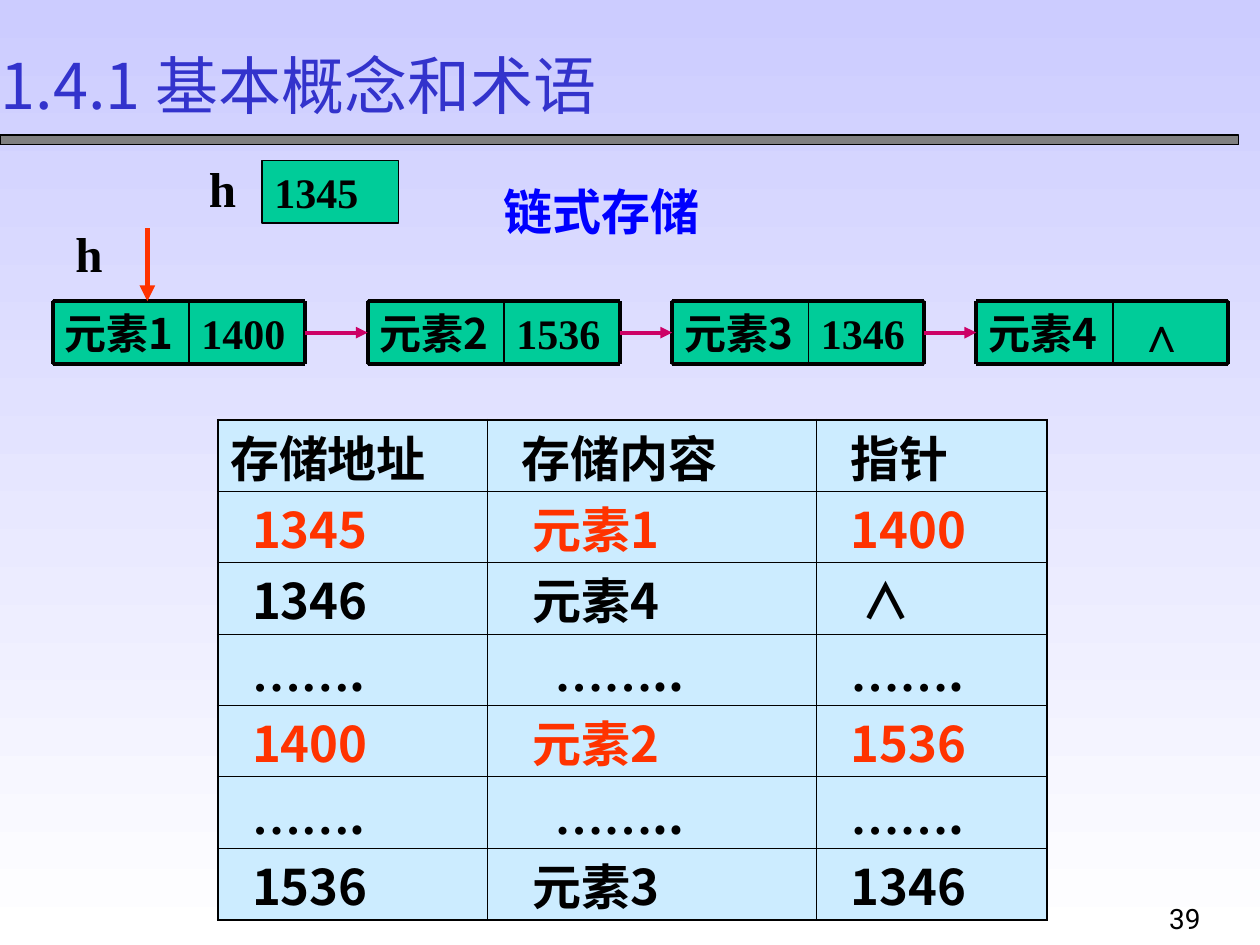
from lxml.etree import SubElement
from pptx import Presentation
from pptx.dml.color import RGBColor
from pptx.enum.shapes import MSO_CONNECTOR, MSO_SHAPE
from pptx.enum.text import MSO_ANCHOR, PP_ALIGN
from pptx.oxml.ns import qn
from pptx.util import Cm, Pt

THEME = {
    "sans": "Noto Sans CJK SC", "serif": "Times New Roman", "number": "Roboto",
    "black": "000000", "title": "3333CC", "heading": "0000FF", "hot": "FF3300",
    "link": "CC0066", "node": "00CC99", "cell": "CCECFF", "bar": "808080",
    "bg": ("CCCCFF", "FFFFFF"),
    "title_size": 36, "large": 28, "medium": 24, "small": 16,
}
TITLE = "1.4.1 基本概念和术语"

# Linked list: left edge, element, pointer
NODES = [(1.06, "元素1", "1400"), (7.41, "元素2", "1536"),
         (13.55, "元素3", "1346"), (19.68, "元素4", "∧")]
NODE_TOP, NODE_H, DATA_W, POINTER_W = 6.07, 1.27, 2.75, 2.33

# Labels: text, left, top, width, height, font, size, colour
LABELS = [
    ("h", 1.27, 4.37, 1.04, 1.45, "serif", "large", "black"),
    ("链式存储", 9.9, 3.53, 4.6, 1.45, "sans", "large", "heading"),
    ("h", 3.96, 3.07, 1.07, 1.45, "serif", "large", "black"),
    ("39", 23.32, 17.98, 1.6, 1.07, "number", "small", "black"),
]

# Storage table; an indent is counted in steps, one list per row
ROWS = [
    ("存储地址", "存储内容", "指针"),
    ("1345", "元素1", "1400"),
    ("1346", "元素4", "∧"),
    ("…….", "……..", "……."),
    ("1400", "元素2", "1536"),
    ("…….", "……..", "……."),
    ("1536", "元素3", "1346"),
]
INDENTS = [(0, 2, 2), (2, 3, 2), (2, 3, 3), (2, 5, 2), (2, 3, 2), (2, 5, 2), (2, 3, 2)]
HOT_ROWS = (1, 4)
INDENT_STEP = 0.22
TABLE_LEFT, TABLE_TOP, ROW_H = 4.39, 8.46, 1.44
COL_W = (5.44, 6.63, 4.65)


def rgb(name):
    return RGBColor.from_string(THEME[name])


def add_run(p, text, font, size, color, bold=True):
    r = p.add_run()
    r.text = text
    values = {"name": THEME[font], "size": Pt(THEME[size]), "bold": bold}
    for key, value in values.items():
        setattr(r.font, key, value)
    r.font.color.rgb = rgb(color)
    SubElement(r.font._element, qn("a:ea"), typeface=THEME[font])


def format_frame(tf):
    values = {"margin_left": Cm(0.25), "margin_right": Cm(0.25),
              "margin_top": Cm(0.13), "margin_bottom": Cm(0.13),
              "word_wrap": False, "vertical_anchor": MSO_ANCHOR.MIDDLE}
    for key, value in values.items():
        setattr(tf, key, value)
    p = tf.paragraphs[0]
    p.alignment = PP_ALIGN.LEFT
    return p


def add_box(s, left, top, width, height, fill):
    sp = s.shapes.add_shape(MSO_SHAPE.RECTANGLE, Cm(left), Cm(top), Cm(width), Cm(height))
    sp.shadow.inherit = False
    sp.fill.solid()
    sp.fill.fore_color.rgb = rgb(fill)
    sp.line.color.rgb = rgb("black")
    sp.line.width = Pt(0.75)
    return sp


def add_text_box(s, left, width, top, text, font, size="medium"):
    sp = add_box(s, left, top, width, NODE_H, "node")
    p = format_frame(sp.text_frame)
    if text == "∧":
        p._p.get_or_add_pPr().set("marL", str(Cm(0.25)))
    add_run(p, text, font, size, "black")
    return sp


def add_line(s, x1, y1, x2, y2, width=2.25, color="black", arrow=False):
    c = s.shapes.add_connector(MSO_CONNECTOR.STRAIGHT, Cm(x1), Cm(y1), Cm(x2), Cm(y2))
    c.line.color.rgb = rgb(color)
    c.line.width = Pt(width)
    if arrow:
        SubElement(c.line._get_or_add_ln(), qn("a:tailEnd"), type="triangle")
    SubElement(c._element.spPr, qn("a:effectLst"))
    return c


def add_node(s, left, element, pointer):
    """Draw a two-part node and return its data and pointer boxes."""
    middle, right = left + DATA_W, left + DATA_W + POINTER_W
    bottom = NODE_TOP + NODE_H
    size = "large" if pointer == "∧" else "medium"
    pointer_box = add_text_box(s, middle, POINTER_W, NODE_TOP, pointer, "serif", size)
    data_box = add_text_box(s, left, DATA_W, NODE_TOP, element, "sans")
    for y in (NODE_TOP, bottom):
        add_line(s, left, y, right, y)
    for x, width in ((left, 2.25), (middle, 1), (right, 2.25)):
        add_line(s, x, NODE_TOP, x, bottom, width)
    return data_box, pointer_box


def set_borders(cell, outer):
    """Draw all four borders, heavier on the sides named in outer."""
    tc_pr = cell._tc.get_or_add_tcPr()
    for i, side in enumerate("LRTB"):
        width = Pt(1.08 if side in outer else 0.45)
        ln = tc_pr.makeelement(qn(f"a:ln{side}"), {"w": str(width)})
        fill = SubElement(ln, qn("a:solidFill"))
        SubElement(fill, qn("a:srgbClr"), val=THEME["black"])
        tc_pr.insert(i, ln)


def add_storage_table(s):
    n_rows, n_cols = len(ROWS), len(COL_W)
    table = s.shapes.add_table(n_rows, n_cols, Cm(TABLE_LEFT), Cm(TABLE_TOP),
                               Cm(sum(COL_W)), Cm(ROW_H * n_rows)).table
    for column, width in zip(table.columns, COL_W):
        column.width = Cm(width)
    for i, row in enumerate(ROWS):
        table.rows[i].height = Cm(ROW_H)
        color = "hot" if i in HOT_ROWS else "black"
        for j, text in enumerate(row):
            cell = table.cell(i, j)
            cell.margin_left = cell.margin_right = Cm(0.25)
            cell.margin_top = cell.margin_bottom = 0
            cell.vertical_anchor = MSO_ANCHOR.BOTTOM
            cell.fill.solid()
            cell.fill.fore_color.rgb = rgb("cell")
            edges = (("L", j == 0), ("R", j == n_cols - 1),
                     ("T", i == 0), ("B", i == n_rows - 1))
            set_borders(cell, [side for side, is_outer in edges if is_outer])
            p = cell.text_frame.paragraphs[0]
            p._p.get_or_add_pPr().set("marL", str(Cm(INDENT_STEP * INDENTS[i][j])))
            dots = text.count("…")
            if dots:
                add_run(p, text[:dots], "serif", "large", color)
            add_run(p, text[dots:], "sans", "large", color)


def main():
    prs = Presentation()
    prs.slide_width, prs.slide_height = Cm(25.4), Cm(19.05)
    s = prs.slides.add_slide(prs.slide_layouts[5])

    bg = s.background.fill
    bg.gradient()
    bg.gradient_angle = 270
    for stop, color in zip(bg.gradient_stops, THEME["bg"]):
        stop.color.rgb = RGBColor.from_string(color)

    title = s.shapes.title
    title.left, title.top, title.width, title.height = Cm(-0.23), Cm(0.81), Cm(14.27), Cm(1.78)
    add_run(format_frame(title.text_frame), TITLE, "sans", "title_size", "title", False)
    add_box(s, 0, 2.72, 24.97, 0.2, "bar")

    boxes = [add_node(s, *node) for node in NODES]
    for (_, pointer_box), (data_box, _) in zip(boxes, boxes[1:]):
        link = add_line(s, 0, 0, 1, 1, color="link", arrow=True)
        link.begin_connect(pointer_box, 3)
        link.end_connect(data_box, 1)

    add_text_box(s, 5.28, DATA_W, 3.23, "1345", "serif")
    add_line(s, 2.97, 4.6, 2.97, NODE_TOP, 3, "hot", arrow=True)
    add_storage_table(s)

    for text, left, top, width, height, font, size, color in LABELS:
        tb = s.shapes.add_textbox(Cm(left), Cm(top), Cm(width), Cm(height))
        add_run(format_frame(tb.text_frame), text, font, size, color, font != "number")

    prs.save("out.pptx")


if __name__ == "__main__":
    main()
